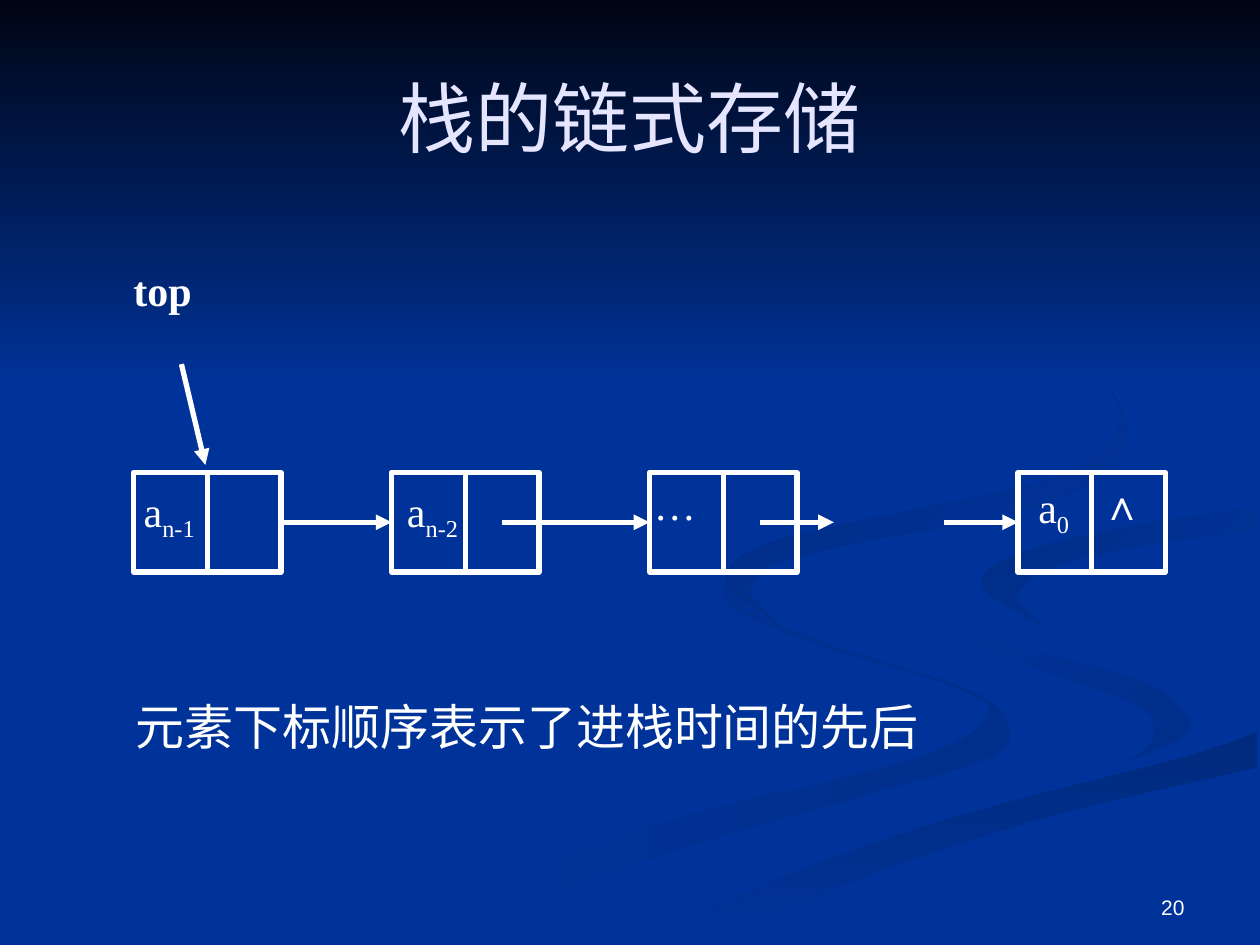
from lxml.etree import SubElement
from pptx import Presentation
from pptx.dml.color import RGBColor
from pptx.enum.shapes import MSO_CONNECTOR as Connector, MSO_SHAPE as Preset
from pptx.enum.text import MSO_ANCHOR as Anchor, PP_ALIGN as Align
from pptx.oxml.ns import qn
from pptx.util import Inches, Pt

WIDTH, HEIGHT = 10, 7.5
WHITE, LILAC, BLUE, NIGHT = "FFFFFF", "E5E5FF", "003399", "000514"
SMOOTHING = 5

RIBBONS = [
    (BLUE, "002E8B", 0,
     [(5.75, 4.59), (5.81, 4.83), (6.54, 5.13), (7.52, 5.43), (7.85, 5.66), (7.27, 6.02), (5, 6.61), (3, 7.49)],
     [(3.61, 7.49), (5, 6.87), (6.76, 6.34), (7.86, 6.01), (7.99, 5.73), (7.67, 5.47), (6.61, 5.13), (5.94, 4.85)]),
    (BLUE, "002E8B", 45,
     [(7.24, 4.64), (7.46, 5), (8.38, 5.36), (9.07, 5.62), (9.14, 5.89), (8.94, 6.05)],
     [(9.37, 5.86), (9.43, 5.7), (9.05, 5.4), (7.92, 5.09), (7.33, 4.83)]),
    ("002A7D", BLUE, 90,
     [(5.03, 7.49), (6.3, 6.93), (7.64, 6.47), (9.36, 6.02), (9.98, 5.81)],
     [(9.98, 6.09), (8.21, 6.51), (6.7, 7.02), (5.71, 7.49)]),
    ("002D86", BLUE, 45,
     [(9.98, 4.02), (8.65, 4.24), (7.91, 4.47), (7.82, 4.69), (8.26, 4.96)],
     [(8.05, 4.74), (8.28, 4.53), (8.96, 4.35), (9.98, 4.2)]),
    ("002B82", BLUE, 45,
     [(7.62, 2.33), (8.62, 2.92), (8.89, 3.35), (8.42, 3.78), (7.04, 4.09), (6.05, 4.33), (5.77, 4.62), (6.22, 5)],
     [(5.93, 4.7), (6.14, 4.48), (6.83, 4.3), (8.07, 4.07), (8.83, 3.7), (8.9, 3.24), (8.43, 2.75), (7.62, 2.33)]),
]

FIRST_LEFT, LAST_LEFT, ROW_TOP, CELL_HEIGHT = 1.06, 8.08, 3.75, 0.79
CELL = (LAST_LEFT - FIRST_LEFT) / 12
NODE_COLUMNS = [0, 3.5, 7, 12]
LINK_COLUMNS = [(2, 3.5), (5, 7), (8.5, 9.5), (11, 12)]
CELL_LABELS = [
    (1.14, 3.85, "a", "n-1"), (3.23, 3.85, "a", "n-2"), (8.24, 3.82, "a", "0"),
    (5.19, 3.8, "…", ""), (8.74, 3.8, "∧", ""),
]


def rgb(code):
    return RGBColor.from_string(code)


def column_left(column):
    return FIRST_LEFT + column * CELL


def spline(a, b, c, d, t):
    return b + t * (c - a + t * (2 * a - 5 * b + 4 * c - d + t * (3 * (b - c) + d - a))) / 2


def smooth(edge):
    padded = [edge[0], *edge, edge[-1]]
    curve = [tuple(spline(*axis, step / SMOOTHING) for axis in zip(*padded[i:i + 4]))
             for i in range(len(edge) - 1) for step in range(SMOOTHING)]
    return curve + [edge[-1]]


def paint_gradient(shape, start, end, angle):
    shape.shadow.inherit = False
    shape.line.fill.background()
    shape.fill.gradient()
    shape.fill.gradient_angle = -angle % 360
    for stop, code in zip(shape.fill.gradient_stops, (start, end)):
        stop.color.rgb = rgb(code)


def add_ribbon(slide, start, end, angle, edge, return_edge):
    outline = [(Inches(x), Inches(y)) for x, y in smooth(edge) + smooth(return_edge)]
    builder = slide.shapes.build_freeform(*outline[0], scale=1.0)
    builder.add_line_segments(outline[1:], close=True)
    paint_gradient(builder.convert_to_shape(), start, end, angle)


def add_rectangle(slide, left, top, width, height):
    return slide.shapes.add_shape(Preset.RECTANGLE, *map(Inches, (left, top, width, height)))


def add_cell(slide, column):
    cell = add_rectangle(slide, column_left(column), ROW_TOP, CELL, CELL_HEIGHT)
    cell.shadow.inherit = False
    cell.fill.background()
    cell.line.color.rgb = rgb(WHITE)
    cell.line.width = Pt(3)


def add_arrow(slide, x1, y1, x2, y2):
    arrow = slide.shapes.add_connector(Connector.STRAIGHT, *map(Inches, (x1, y1, x2, y2)))
    arrow.line.color.rgb = rgb(WHITE)
    arrow.line.width = Pt(3)
    properties = arrow._element.spPr
    SubElement(properties.find(qn("a:ln")), qn("a:tailEnd"), type="triangle")
    SubElement(properties, qn("a:effectLst"))


def add_text(slide, text, left, top, width, height, *, size=24, font="Times New Roman", color=WHITE,
             bold=False, align=Align.LEFT, anchor=Anchor.TOP, inset=(0, 0), subscript=""):
    frame = slide.shapes.add_textbox(*map(Inches, (left, top, width, height))).text_frame
    frame.word_wrap = True
    frame.vertical_anchor = anchor
    frame.margin_left = frame.margin_right = Inches(inset[0])
    frame.margin_top = frame.margin_bottom = Inches(inset[1])
    paragraph = frame.paragraphs[0]
    paragraph.alignment = align
    for part, baseline in ((text, None), (subscript, "-25000")):
        if not part:
            continue
        run = paragraph.add_run()
        run.text = part
        run.font.size, run.font.name, run.font.bold = Pt(size), font, bold
        run.font.color.rgb = rgb(color)
        if baseline:
            run._r.get_or_add_rPr().set("baseline", baseline)


def main():
    """Build the slide on the linked storage of a stack."""
    deck = Presentation()
    deck.slide_width, deck.slide_height = Inches(WIDTH), Inches(HEIGHT)
    slide = deck.slides.add_slide(deck.slide_layouts[6])
    slide.background.fill.solid()
    slide.background.fill.fore_color.rgb = rgb(BLUE)
    for ribbon in RIBBONS:
        add_ribbon(slide, *ribbon)
    paint_gradient(add_rectangle(slide, 0, 0, WIDTH, 3.08), NIGHT, BLUE, 90)

    padding = (0.1, 0.05)
    add_text(slide, "20", 7.17, 6.83, 2.33, 0.52, size=12, font="Arial", align=Align.RIGHT,
             anchor=Anchor.BOTTOM, inset=padding)
    add_text(slide, "栈的链式存储", 0.5, 0.3, 9, 1.25, size=44, color=LILAC, align=Align.CENTER,
             anchor=Anchor.MIDDLE, inset=padding)

    for column in NODE_COLUMNS:
        add_cell(slide, column)
        add_cell(slide, column + 1)
    link_y = ROW_TOP + CELL_HEIGHT / 2
    for start, end in LINK_COLUMNS:
        add_arrow(slide, column_left(start), link_y, column_left(end), link_y)
    for left, top, symbol, subscript in CELL_LABELS:
        add_text(slide, symbol, left, top, 0.48, 0.68, subscript=subscript)

    add_text(slide, "top", FIRST_LEFT, 2.1, 0.94, 0.53, bold=True)
    add_arrow(slide, 1.44, 2.89, 1.63, 3.69)
    add_text(slide, "元素下标顺序表示了进栈时间的先后", 0.98, 5.48, 6.46, 0.57, size=28, inset=padding)
    deck.save("out.pptx")


if __name__ == "__main__":
    main()
